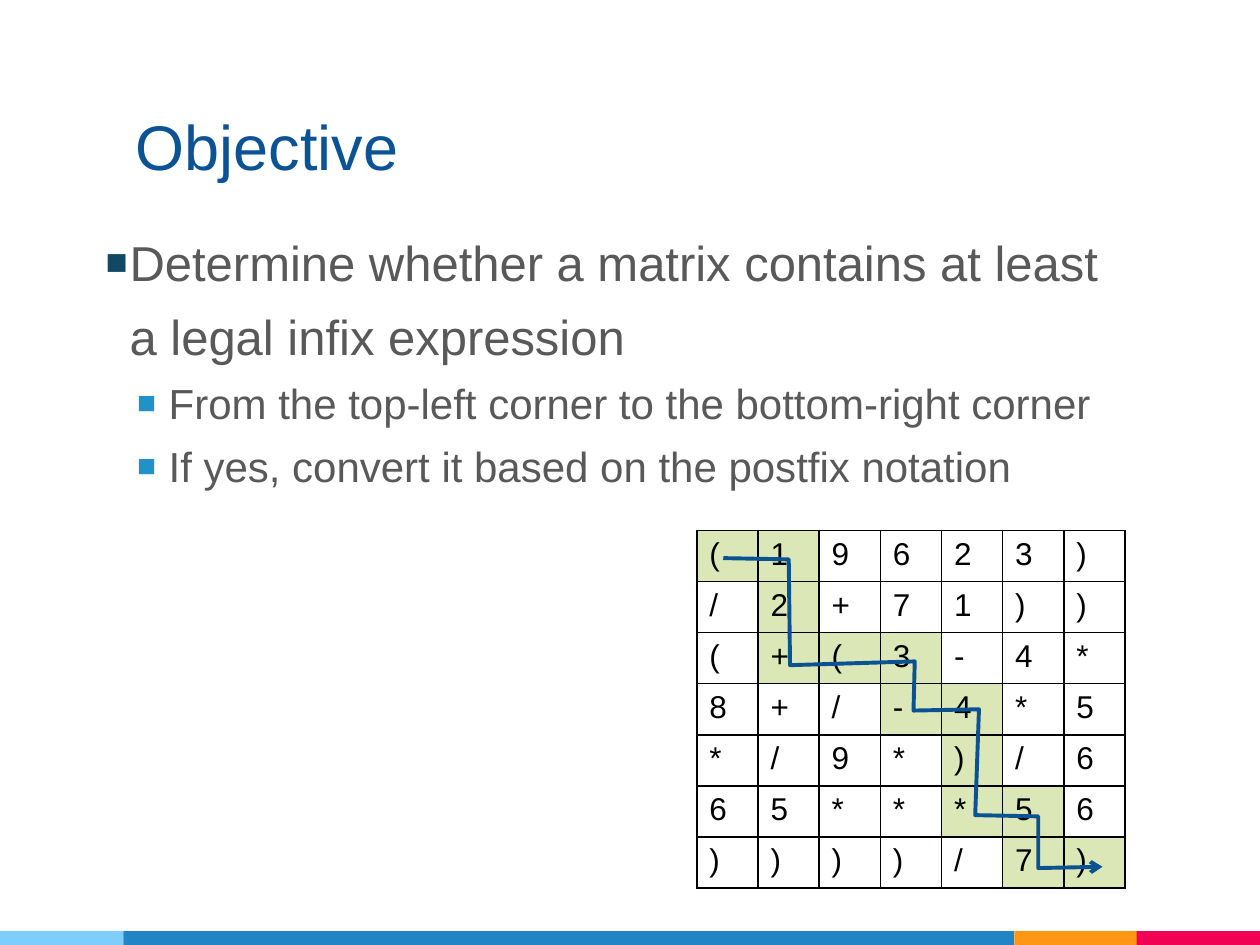
from dataclasses import dataclass

from lxml.etree import SubElement
from pptx import Presentation
from pptx.dml.color import RGBColor
from pptx.enum.shapes import MSO_SHAPE
from pptx.enum.text import MSO_ANCHOR
from pptx.oxml.ns import qn
from pptx.util import Inches, Pt

HUES = {
    "sky": "7ECEFD", "blue": "2185C5", "gold": "FF9715", "pink": "F20253",
    "title": "0B5394", "text": "595959", "deep": "114864", "mark": "2191C9",
    "ink": "000000", "step": "DBE7B6", "path": "0B5292",
}
WIDE, HIGH = 10, 7.5
FONT = "Arial"
GRID = ["(19623)", "/2+71))", "(+(3-4*", "8+/-4*5", "*/9*)/6", "65***56", "))))/7)"]
ROUTE = {(0, 0), (0, 1), (1, 1), (2, 1), (2, 2), (2, 3), (3, 3),
         (3, 4), (4, 4), (5, 4), (5, 5), (6, 5), (6, 6)}
TRAIL = [(574, 443), (626, 444), (627, 528), (726, 525), (725, 564), (777, 563),
         (774, 647), (824, 648), (824, 689), (875, 688)]


@dataclass
class Band:
    """A strip of the footer, as shares of the slide's width."""
    left: float
    width: float
    hue: str


@dataclass
class Point:
    """A bulleted line of the body."""
    text: str
    size: int
    level: int
    left: float
    hang: float
    hue: str


BANDS = [Band(0, 0.098, "sky"), Band(0.098, 0.707, "blue"),
         Band(0.805, 0.098, "gold"), Band(0.902, 0.098, "pink")]
POINTS = [
    Point("Determine whether a matrix contains at least a legal infix expression",
          28, 0, 0.19, 0.19, "deep"),
    Point("From the top-left corner to the bottom-right corner", 24, 1, 0.5, 0.25, "mark"),
    Point("If yes, convert it based on the postfix notation", 24, 1, 0.5, 0.25, "mark"),
]


def tint(hue: str) -> RGBColor:
    """Return a named colour."""
    return RGBColor.from_string(HUES[hue])


def add_run(para, text: str, size: int, hue: str) -> None:
    """Add one styled run."""
    run = para.add_run()
    run.text = text
    run.font.name, run.font.size = FONT, Pt(size)
    run.font.color.rgb = tint(hue)


def add_box(slide, left: float, top: float, width: float, height: float):
    """Add a wrapped text box and return its frame."""
    box = slide.shapes.add_textbox(Inches(left), Inches(top), Inches(width), Inches(height))
    frame = box.text_frame
    frame.word_wrap = True
    frame.margin_left = frame.margin_right = Inches(0.1)
    frame.margin_top = frame.margin_bottom = Inches(0.1)
    return frame


def add_band(slide, band: Band) -> None:
    """Draw one strip along the foot."""
    shape = slide.shapes.add_shape(
        MSO_SHAPE.RECTANGLE, Inches(band.left * WIDE), Inches(HIGH - 0.11),
        Inches(band.width * WIDE), Inches(0.11))
    shape.shadow.inherit = False
    shape.fill.solid()
    shape.fill.fore_color.rgb = tint(band.hue)
    shape.line.fill.background()


def add_point(para, point: Point) -> None:
    """Write one bulleted paragraph."""
    para.level = point.level
    para.line_spacing = 1.25
    props = para._p.get_or_add_pPr()
    props.set("marL", str(Inches(point.left)))
    props.set("indent", str(-Inches(point.hang)))
    SubElement(SubElement(props, qn("a:buClr")), qn("a:srgbClr"), val=HUES[point.hue])
    SubElement(props, qn("a:buSzPct"), val="75000")
    SubElement(props, qn("a:buFont"), typeface=FONT)
    SubElement(props, qn("a:buChar"), char="■")
    add_run(para, point.text, point.size, "text")


def edge_cell(cell) -> None:
    """Give a cell four thin borders."""
    props = cell._tc.get_or_add_tcPr()
    for spot, side in enumerate(("lnL", "lnR", "lnT", "lnB")):
        line = props.makeelement(qn(f"a:{side}"), {"w": str(Pt(1))})
        SubElement(SubElement(line, qn("a:solidFill")), qn("a:srgbClr"), val=HUES["ink"])
        props.insert(spot, line)


def add_grid(slide) -> None:
    """Draw the matrix with its route shaded."""
    count = len(GRID)
    table = slide.shapes.add_table(
        count, count, Inches(5.53), Inches(4.21), Inches(3.4), Inches(2.84)).table
    table.first_row = table.horz_banding = False
    for row, signs in enumerate(GRID):
        for col, sign in enumerate(signs):
            cell = table.cell(row, col)
            if (row, col) in ROUTE:
                cell.fill.solid()
                cell.fill.fore_color.rgb = tint("step")
            else:
                cell.fill.background()
            edge_cell(cell)
            add_run(cell.text_frame.paragraphs[0], sign, 18, "ink")


def add_trail(slide) -> None:
    """Draw the arrow that follows the route."""
    pen = slide.shapes.build_freeform(*TRAIL[0], scale=Inches(0.01))
    pen.add_line_segments(TRAIL[1:], close=False)
    trail = pen.convert_to_shape()
    trail.shadow.inherit = False
    trail.fill.background()
    trail.line.color.rgb = tint("path")
    trail.line.width = Pt(2.25)
    line = trail.line._get_or_add_ln()
    SubElement(line, qn("a:round"))
    SubElement(line, qn("a:tailEnd"), type="arrow")


def main() -> None:
    """Build and save the slide."""
    deck = Presentation()
    deck.slide_width, deck.slide_height = Inches(WIDE), Inches(HIGH)
    slide = deck.slides.add_slide(deck.slide_layouts[6])
    for band in BANDS:
        add_band(slide, band)
    title = add_box(slide, 0.98, 0.3, 8.19, 1.25)
    title.vertical_anchor = MSO_ANCHOR.BOTTOM
    add_run(title.paragraphs[0], "Objective", 36, "title")
    body = add_box(slide, 0.74, 1.63, 8.19, 4.65)
    for spot, point in enumerate(POINTS):
        add_point(body.add_paragraph() if spot else body.paragraphs[0], point)
    add_grid(slide)
    add_trail(slide)
    deck.save("out.pptx")


main()
